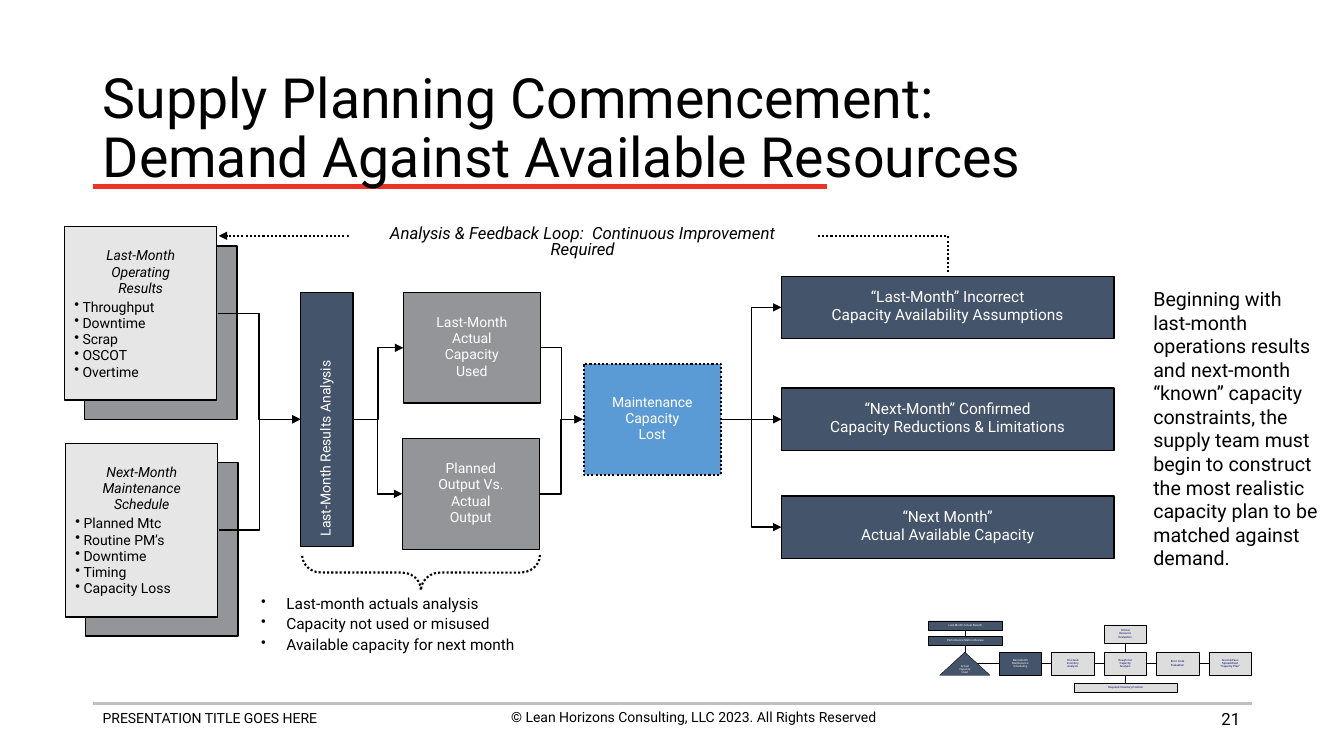
"""Build the supply planning slide with its flow chart and small process map."""
from dataclasses import dataclass
from typing import Any

from lxml.etree import SubElement
from pptx import Presentation
from pptx.dml.color import RGBColor as Rgb
from pptx.enum.dml import MSO_LINE_DASH_STYLE as Dash
from pptx.enum.shapes import MSO_CONNECTOR_TYPE as Wire, MSO_SHAPE as Form
from pptx.enum.text import MSO_VERTICAL_ANCHOR as Anchor, PP_PARAGRAPH_ALIGNMENT as Align
from pptx.oxml.ns import qn
from pptx.util import Inches, Pt


@dataclass(frozen=True)
class Theme:
    """Colours, type sizes and font of the slide."""
    font: str = "Roboto"
    black: str = "000000"
    white: str = "FFFFFF"
    navy: str = "44546A"
    gray: str = "939598"
    pale: str = "E7E6E6"
    blue: str = "5B9BD5"
    red: str = "EE3228"
    rule: str = "BFBFBF"
    mist: str = "DDDDDD"
    ink: str = "000066"
    title: float = 39.6
    side: float = 14
    loop: float = 12
    goal: float = 11
    body: float = 10
    tiny: float = 2


T = Theme()


@dataclass(frozen=True)
class Type:
    """Look of the text in a box."""
    size: float = T.body
    color: str = T.black
    align: Any = Align.LEFT
    anchor: Any = Anchor.TOP
    italic: bool = False
    space: float = 1
    lead: float = 0
    dent: float = 0
    mark: int = 100
    wrap: bool = True
    pad: tuple[float, float] = (0.1, 0.05)
    turn: str = ""


@dataclass(frozen=True)
class Box:
    """A filled shape with text."""
    x: float
    y: float
    w: float
    h: float
    text: str
    fill: str
    type: Type
    edge: float = 1
    form: Any = Form.RECTANGLE
    dots: bool = False


@dataclass(frozen=True)
class Link:
    """A line between two points."""
    x: float
    y: float
    to_x: float
    to_y: float
    color: str = T.black
    width: float = 1
    head: bool = True


@dataclass(frozen=True)
class Stack:
    """A card with a shade behind it, a heading and bullets."""
    x: float
    y: float
    head: str
    list: str


def label(color: str, size: float = T.body) -> Type:
    """Return the centred type used in flow boxes."""
    return Type(size, color, Align.CENTER, Anchor.MIDDLE, space=0.8,
                lead=size * 0.2, wrap=False, pad=(0, 0))


LIGHT, GOAL = label(T.white), label(T.white, T.goal)
TINY, DARK = label(T.white, T.tiny), label(T.ink, T.tiny)
HEAD = Type(align=Align.CENTER, italic=True, space=0.8, lead=2, pad=(0.1, 0.23))
LIST = Type(space=0.8, lead=2, dent=0.08, wrap=False)
SPINE = Type(color=T.white, anchor=Anchor.MIDDLE, space=0.8, turn="vert270")
NOTE = Type(T.goal, space=0.9, lead=2.75, dent=0.25, mark=90, pad=(0.08, 0.04))
LOOP = Type(T.loop, align=Align.CENTER, italic=True, space=0.8)

STACKS = [
    Stack(0.64, 2.25, "Last-Month\nOperating\nResults",
          "Throughput\nDowntime\nScrap\nOSCOT\nOvertime"),
    Stack(0.65, 4.4, "Next-Month\nMaintenance\nSchedule",
          "Planned Mtc\nRoutine PM’s\nDowntime\nTiming\nCapacity Loss"),
]
FLOW = [
    Box(5.79, 3.61, 1.36, 1.1, "Maintenance\nCapacity\nLost", T.blue, LIGHT, 1.5, dots=True),
    Box(4, 2.9, 1.36, 1.1, "Last-Month\nActual\nCapacity\nUsed", T.gray, LIGHT),
    Box(3.99, 4.35, 1.36, 1.1, "Planned\nOutput Vs.\nActual\nOutput", T.gray, LIGHT),
    Box(2.98, 2.9, 0.52, 2.52, "Last-Month Results Analysis", T.navy, SPINE),
] + [Box(7.75, y, 3.3, 0.62, text, T.navy, GOAL) for y, text in (
    (2.74, "“Last-Month” Incorrect\nCapacity Availability Assumptions"),
    (3.85, "“Next-Month” Confirmed\nCapacity Reductions & Limitations"),
    (4.92, "“Next Month”\nActual Available Capacity"))]
STEPS = ["Next-Month\nMaintenance\nScheduling", "On-Hand\nInventory\nAnalysis",
         "Rough-Cut\nCapacity\nAnalysis", "Error Code\nEvaluation",
         "Second-Pass\nSpreadsheet\n“Capacity Plan”"]
MAP = [Box(9.91 + 0.52 * i, 6.47, 0.42, 0.23, text, T.mist if i else T.navy,
           DARK if i else TINY, 0.25) for i, text in enumerate(STEPS)] + [
    Box(9.32, 6.47, 0.5, 0.23, "Actual\nCapacity\nUsed", T.navy, TINY, 0.25, Form.ISOSCELES_TRIANGLE),
    Box(10.95, 6.2, 0.42, 0.18, "Critical\nResource\nEvaluation", T.mist, DARK, 0.25),
    Box(9.21, 6.16, 0.73, 0.09, "Last-Month Actual Results", T.navy, TINY, 0.25),
    Box(9.21, 6.31, 0.73, 0.09, "Performance Metrics Review", T.navy, TINY, 0.25),
    Box(10.65, 6.78, 1.03, 0.09, "Required Inventory Position", T.mist, DARK, 0.25),
]
RULES = [Link(0.92, 6.98, 12.42, 6.98, T.rule, 2, False),
         Link(0.92, 1.85, 8.2, 1.85, T.red, 3, False)]
TRACKS = [Link(*ends, width=0.25, head=False) for ends in (
    (11.16, 6.28, 11.16, 6.82), (9.66, 6.58, 12.15, 6.58), (9.57, 6.19, 9.57, 6.49))]
ARROWS = [Link(*ends) for ends in (
    (2.17, 5.26, 2.98, 4.16), (2.16, 3.11, 2.98, 4.16),
    (3.5, 4.16, 4, 3.45), (3.5, 4.16, 3.99, 4.9),
    (5.36, 3.45, 5.78, 4.16), (5.35, 4.9, 5.78, 4.16),
    (7.16, 4.16, 7.75, 3.05), (7.16, 4.16, 7.75, 5.23), (7.16, 4.16, 7.75, 4.16))]


def write(frame: Any, text: str, look: Type) -> None:
    """Fill a text frame, one paragraph a line."""
    frame.word_wrap, frame.vertical_anchor = look.wrap, look.anchor
    frame.margin_left = frame.margin_right = Inches(look.pad[0])
    frame.margin_top = frame.margin_bottom = Inches(look.pad[1])
    if look.turn:
        frame._txBody.bodyPr.set("vert", look.turn)
    for i, line in enumerate(text.split("\n")):
        para = frame.add_paragraph() if i else frame.paragraphs[0]
        para.text, para.alignment, para.line_spacing = line, look.align, look.space
        if i and look.lead:
            para.space_before = Pt(look.lead)
        if look.dent:
            props = para._p.get_or_add_pPr()
            props.set("marL", str(Inches(look.dent)))
            props.set("indent", str(-Inches(look.dent)))
            SubElement(props, qn("a:buSzPct"), val=str(look.mark * 1000))
            SubElement(props, qn("a:buChar"), char="•")
        font = para.font
        font.name, font.size, font.italic = T.font, Pt(look.size), look.italic
        font.color.rgb = Rgb.from_string(look.color)


def words(slide: Any, x: float, y: float, w: float, h: float, text: str, look: Type) -> None:
    """Add a text box."""
    write(slide.shapes.add_textbox(*map(Inches, (x, y, w, h))).text_frame, text, look)


def stroke(shape: Any, width: float, color: str = T.black, dots: bool = False, head: bool = False) -> None:
    """Set the line of a shape."""
    shape.line.width, shape.line.color.rgb = Pt(width), Rgb.from_string(color)
    if dots:
        shape.line.dash_style = Dash.ROUND_DOT
    if head:
        SubElement(shape.element.spPr.find(qn("a:ln")), qn("a:tailEnd"), type="triangle")


def draw(slide: Any, box: Box) -> None:
    """Add a filled box with its text."""
    shape = slide.shapes.add_shape(box.form, *map(Inches, (box.x, box.y, box.w, box.h)))
    shape.shadow.inherit = False
    shape.fill.solid()
    shape.fill.fore_color.rgb = Rgb.from_string(box.fill)
    if box.edge:
        stroke(shape, box.edge, dots=box.dots)
    else:
        shape.line.fill.background()
    if box.text:
        write(shape.text_frame, box.text, box.type)


def join(slide: Any, link: Link) -> None:
    """Add a straight or elbow connector."""
    flat = link.x == link.to_x or link.y == link.to_y
    wire = slide.shapes.add_connector(Wire.STRAIGHT if flat else Wire.ELBOW,
                                      *map(Inches, (link.x, link.y, link.to_x, link.to_y)))
    stroke(wire, link.width, link.color, head=link.head)
    SubElement(wire.element.spPr, qn("a:effectLst"))


def pile(slide: Any, card: Stack) -> None:
    """Add a card, its shade and its bullets."""
    draw(slide, Box(card.x + 0.2, card.y + 0.19, 1.51, 1.72, "", T.gray, HEAD))
    draw(slide, Box(card.x, card.y, 1.51, 1.72, card.head, T.pale, HEAD))
    words(slide, card.x, card.y + 0.69, 1.38, 1.04, card.list, LIST)


def loop(slide: Any) -> None:
    """Add the dotted feedback path, its label and the brace."""
    pen = slide.shapes.build_freeform(Inches(9.4), Inches(2.7), 1.0)
    pen.add_line_segments([(Inches(x), Inches(2.34)) for x in (9.4, 2.17)], close=False)
    path = pen.convert_to_shape()
    brace = slide.shapes.add_shape(Form.RIGHT_BRACE, *map(Inches, (4, 4.5, 0.35, 2.36)))
    brace.rotation, brace.adjustments[0] = 90, 0.545
    for shape in (path, brace):
        shape.shadow.inherit = False
        shape.fill.background()
        stroke(shape, 1.5, dots=True, head=shape is path)
    draw(slide, Box(3.46, 2.2, 4.64, 0.29, "Analysis & Feedback Loop:  Continuous Improvement Required",
                    T.white, LOOP, 0))


def main() -> None:
    """Build and save the slide."""
    deck = Presentation()
    deck.slide_width, deck.slide_height = Inches(13.33), Inches(7.5)
    slide = deck.slides.add_slide(deck.slide_layouts[6])
    for link in RULES + TRACKS:
        join(slide, link)
    words(slide, 0.92, 6.99, 4.56, 0.44, "PRESENTATION TITLE GOES HERE", Type())
    words(slide, 4.6, 6.98, 4.56, 0.44, "© Lean Horizons Consulting, LLC 2023. All Rights Reserved",
          Type(align=Align.CENTER))
    words(slide, 9.4, 6.93, 3, 0.4, "21", Type(T.loop, align=Align.RIGHT, anchor=Anchor.MIDDLE))
    words(slide, 0.92, 0.74, 11.5, 1.1, "Supply Planning Commencement:\nDemand Against Available Resources",
          Type(T.title, anchor=Anchor.MIDDLE, space=0.9))
    words(slide, 11.34, 2.8, 1.88, 2.93, "Beginning with last-month operations results and next-month "
          "“known” capacity constraints, the supply team must begin to construct the most realistic "
          "capacity plan to be matched against demand.", Type(T.side))
    for card in STACKS:
        pile(slide, card)
    for box in MAP + FLOW:
        draw(slide, box)
    for link in ARROWS:
        join(slide, link)
    words(slide, 2.51, 5.87, 3.48, 0.76, "Last-month actuals analysis\nCapacity not used or misused\n"
          "Available capacity for next month", NOTE)
    loop(slide)
    deck.save("out.pptx")


if __name__ == "__main__":
    main()
